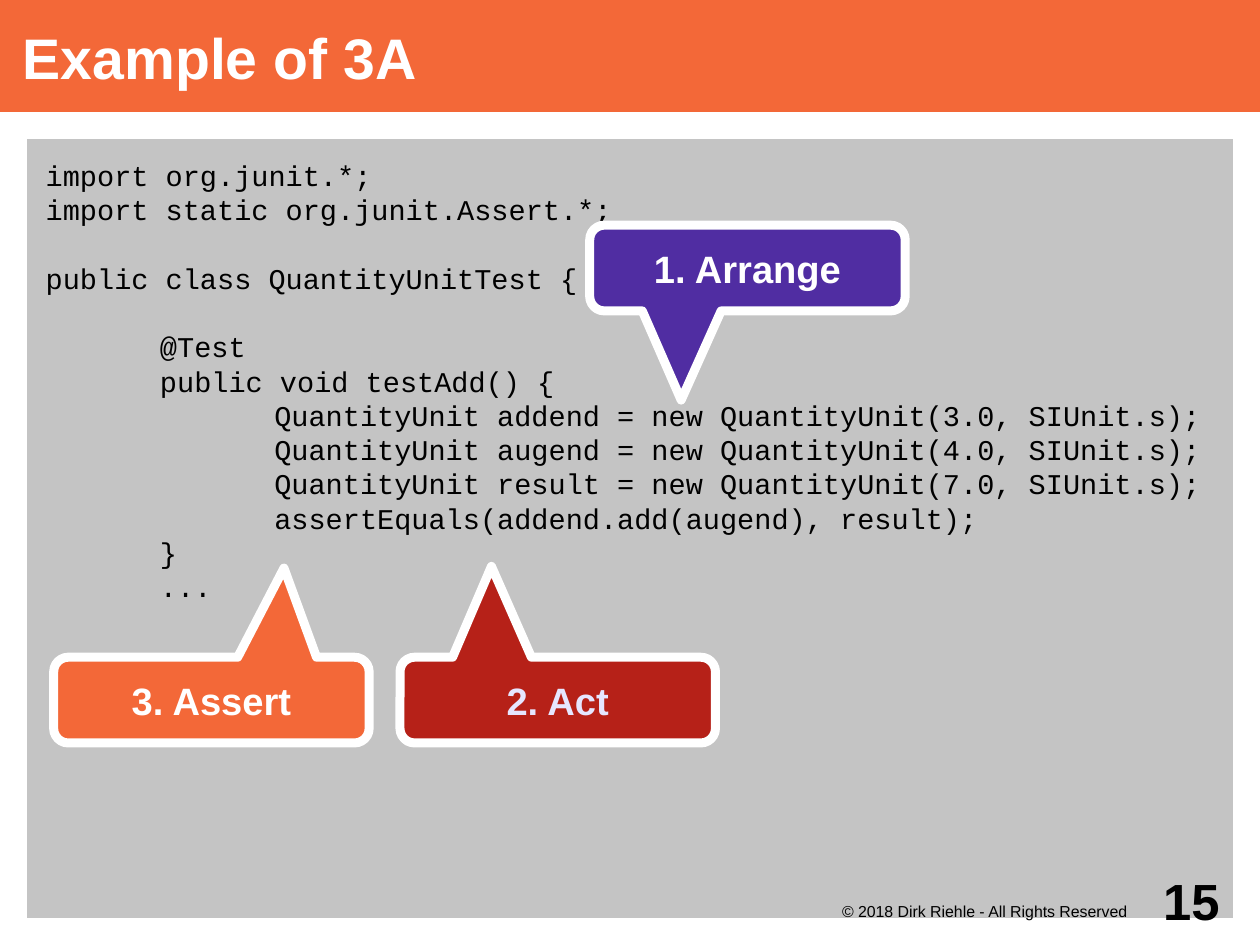
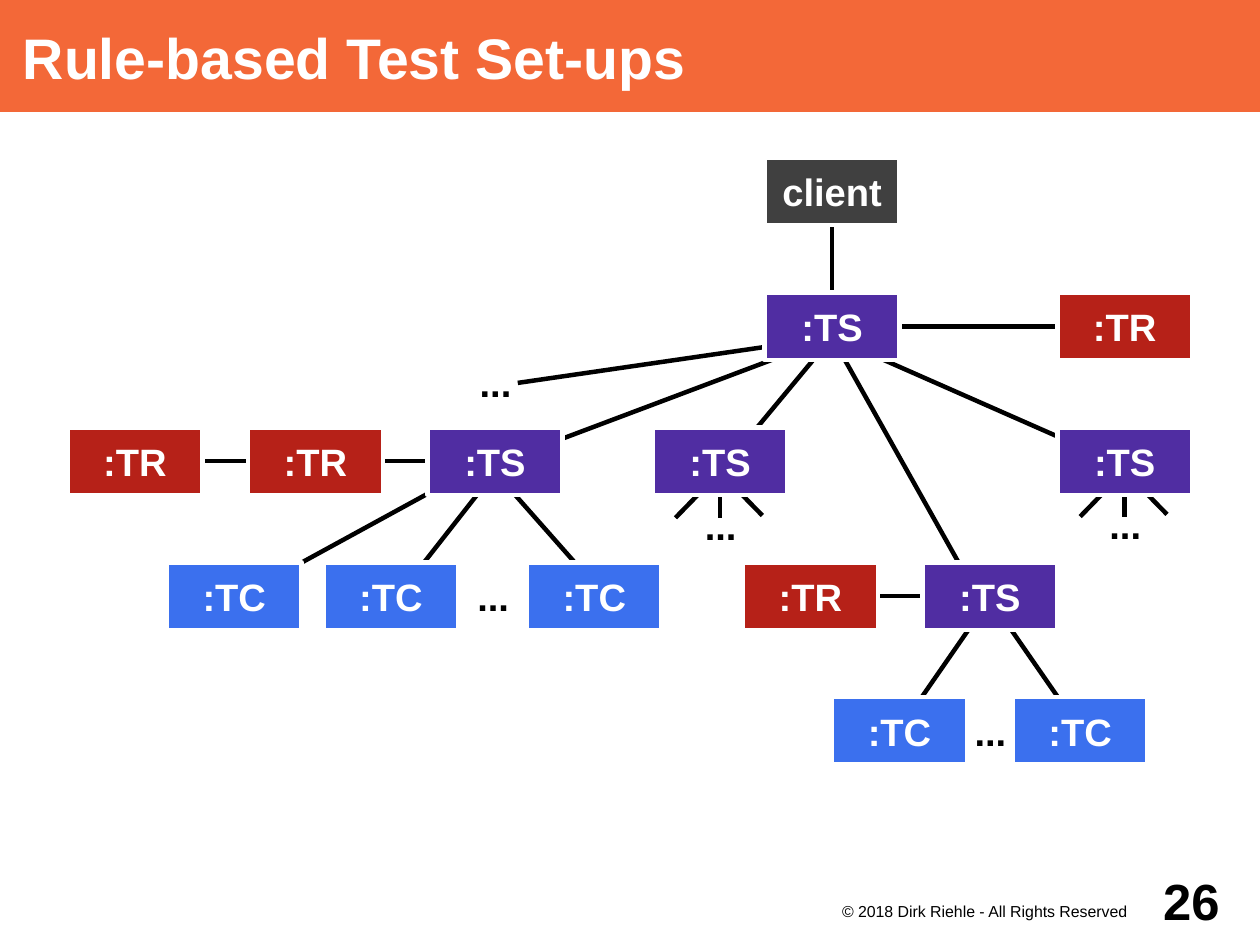
from lxml import etree
from pptx import Presentation
from pptx.dml.color import RGBColor
from pptx.enum.shapes import MSO_CONNECTOR, MSO_SHAPE
from pptx.enum.text import MSO_ANCHOR, MSO_AUTO_SIZE, PP_ALIGN
from pptx.oxml.ns import qn
from pptx.util import Inches, Pt

RECT = MSO_SHAPE.RECTANGLE
BUBBLE = MSO_SHAPE.ROUNDED_RECTANGULAR_CALLOUT
STRAIGHT = MSO_CONNECTOR.STRAIGHT
TOP, MIDDLE = MSO_ANCHOR.TOP, MSO_ANCHOR.MIDDLE
LEFT, CENTER, RIGHT = PP_ALIGN.LEFT, PP_ALIGN.CENTER, PP_ALIGN.RIGHT

ORANGE = RGBColor(0xF3, 0x68, 0x38)
PURPLE = RGBColor(0x50, 0x2D, 0xA2)
RED = RGBColor(0xB6, 0x21, 0x18)
BLUE = RGBColor(0x3B, 0x70, 0xEE)
DARK = RGBColor(0x40, 0x40, 0x40)
GRAY = RGBColor(0xC4, 0xC4, 0xC4)
LILAC = RGBColor(0xE6, 0xE6, 0xFF)
WHITE = RGBColor(0xFF, 0xFF, 0xFF)
BLACK = RGBColor(0, 0, 0)
SANS, MONO = "Arial", "Courier New"

WIDTH, HEIGHT = 28 / 2.54, 21 / 2.54
CREDIT = "© 2018 Dirk Riehle - All Rights Reserved"
PITCH = 21.6

CODE = [
    (0, 0, "import org.junit.*;"),
    (0, 0, "import static org.junit.Assert.*;"),
    (0, 1, "public class QuantityUnitTest {"),
    (1, 1, "@Test"),
    (1, 0, "public void testAdd() {"),
    (2, 0, "QuantityUnit addend = new QuantityUnit(3.0, SIUnit.s);"),
    (2, 0, "QuantityUnit augend = new QuantityUnit(4.0, SIUnit.s);"),
    (2, 0, "QuantityUnit result = new QuantityUnit(7.0, SIUnit.s);"),
    (2, 0, "assertEquals(addend.add(augend), result);"),
    (1, 0, "}"),
    (1, 0, "..."),
]
STEPS = [
    ("1. Arrange", 5.16, 1.97, (-0.21, 1.54), PURPLE, WHITE),
    ("2. Act", 3.5, 5.75, (-0.21, -1.56), RED, LILAC),
    ("3. Assert", 0.47, 5.75, (0.23, -1.54), ORANGE, WHITE),
]

BOX_W, BOX_H, ROW_TOP, ROW_STEP = 1.18, 0.59, 1.38, 1.18
FILLS = {"client": DARK, ":TS": PURPLE, ":TR": RED, ":TC": BLUE}
NODES = {
    "client": ("client", 6.69, 0),
    "root": (":TS", 6.69, 1),
    "root run": (":TR", 9.25, 1),
    "far run": (":TR", 0.59, 2),
    "near run": (":TR", 2.17, 2),
    "left": (":TS", 3.74, 2),
    "mid": (":TS", 5.71, 2),
    "right": (":TS", 9.25, 2),
    "left a": (":TC", 1.46, 3),
    "left b": (":TC", 2.83, 3),
    "left c": (":TC", 4.61, 3),
    "low run": (":TR", 6.5, 3),
    "low": (":TS", 8.07, 3),
    "low a": (":TC", 7.28, 4),
    "low b": (":TC", 8.86, 4),
}
LINKS = [
    ("client", 2, "root", 0),
    ("root", 3, "root run", 1),
    ("far run", 3, "near run", 1),
    ("near run", 3, "left", 1),
    ("low run", 3, "low", 1),
]
FANS = [
    ((7.28, 2.95), [(4.33, 4.06), (6.3, 4.13), (8.56, 5.23), (9.8, 4.06), (4.53, 3.35)]),
    ((4.33, 4.13), [(3.46, 5.24), (5.24, 5.16)]),
    ((4.29, 4.02), [(2.13, 5.2)]),
    ((8.66, 5.24), [(7.87, 6.38), (9.45, 6.38)]),
]
STUBS = [(6.3, 4.13), (9.84, 4.12)]
DOTS = [
    (3.94, 2.95, 0.79, 0.79),
    (4.02, 4.92, 0.59, 0.59),
    (8.27, 6.1, 0.79, 0.59),
]


def setup(frame, inset, anchor, wrap=True):
    frame.auto_size = MSO_AUTO_SIZE.NONE
    frame.word_wrap = wrap
    frame.vertical_anchor = anchor
    (frame.margin_left, frame.margin_top,
     frame.margin_right, frame.margin_bottom) = [Inches(v) for v in inset]


def write(para, text, size, color, bold=True, font=SANS, align=CENTER):
    para.alignment = align
    run = para.add_run()
    run.text = text
    run.font.size = Pt(size)
    run.font.name = font
    run.font.bold = bold
    run.font.color.rgb = color


def panel(slide, kind, area, fill, weight):
    shape = slide.shapes.add_shape(kind, *[Inches(v) for v in area])
    shape.shadow.inherit = False
    shape.fill.solid()
    shape.fill.fore_color.rgb = fill
    shape.line.color.rgb = WHITE
    shape.line.width = Pt(weight)
    return shape


def label(slide, area, text, size, inset, anchor=MIDDLE, bold=True, align=CENTER):
    box = slide.shapes.add_textbox(*[Inches(v) for v in area])
    setup(box.text_frame, inset, anchor)
    write(box.text_frame.paragraphs[0], text, size, BLACK, bold, align=align)


def wire(slide, start=(0, 0), end=(0, 0)):
    line = slide.shapes.add_connector(STRAIGHT, *[Inches(v) for v in (*start, *end)])
    line.line.color.rgb = BLACK
    line.line.width = Pt(2.83)
    etree.SubElement(line.element.spPr, qn("a:effectLst"))
    line.element.getparent().insert(2, line.element)
    return line


def start_slide(deck, text):
    slide = deck.slides.add_slide(deck.slide_layouts[5])
    title = slide.shapes.title
    title.left, title.top = Inches(0), Inches(0)
    title.width, title.height = Inches(WIDTH), Inches(0.98)
    title.fill.solid()
    title.fill.fore_color.rgb = ORANGE
    setup(title.text_frame, (0.2, 0.01, 0, 0), MIDDLE)
    write(title.text_frame.paragraphs[0], text, 36, WHITE, align=LEFT)
    return slide


def add_footer(slide, number):
    label(slide, (7.09, 7.87, 3.15, 0.39), CREDIT, 10,
          (0, 0.02, 0.38, 0), TOP, False, RIGHT)
    label(slide, (10.04, 7.48, 0.98, 0.79), str(number), 32,
          (0, 0, 0.35, 0), align=RIGHT)


def draw_code(slide):
    board = panel(slide, RECT, (0.2, 1.18, 10.63, 6.89), GRAY, 5.67)
    frame = board.text_frame
    setup(frame, (0.2, 0.2, 0.04, 0.04), TOP)
    for i, (level, gap, text) in enumerate(CODE):
        para = frame.add_paragraph() if i else frame.paragraphs[0]
        para.line_spacing = Pt(PITCH)
        para.space_before = Pt(gap * PITCH)
        para._p.get_or_add_pPr().set("marL", str(Inches(level)))
        write(para, text, 18, BLACK, False, MONO, LEFT)
    for text, x, y, tip, fill, color in STEPS:
        note = panel(slide, BUBBLE, (x, y, 2.76, 0.75), fill, 5.67)
        for i, value in enumerate((*tip, 0.17)):
            note.adjustments[i] = value
        setup(note.text_frame, (0.1,) * 4, MIDDLE, False)
        write(note.text_frame.paragraphs[0], text, 24, color)


def draw_tree(slide):
    boxes = {}
    for name, (text, x, row) in NODES.items():
        area = (x, ROW_TOP + row * ROW_STEP, BOX_W, BOX_H)
        box = boxes[name] = panel(slide, RECT, area, FILLS[text], 2.83)
        setup(box.text_frame, (0.1, 0.05, 0.1, 0.05), MIDDLE)
        write(box.text_frame.paragraphs[0], text, 24, WHITE)
    for first, out, last, into in LINKS:
        line = wire(slide)
        line.begin_connect(boxes[first], out)
        line.end_connect(boxes[last], into)
    for hub, ends in FANS:
        for end in ends:
            wire(slide, end, hub)
    for x, y in STUBS:
        wire(slide, (x, y), (x - 0.39, y + 0.4))
        wire(slide, (x, y + 0.4), (x, y))
        wire(slide, (x + 0.37, y + 0.38), (x - 0.13, y - 0.13))
        label(slide, (x - 0.39, y + 0.13, 0.79, 0.67), "...", 24,
              (0.09, 0.04, 0.09, 0.04))
    for area in DOTS:
        label(slide, area, "...", 24, (0.08,) * 4)


PAGES = [
    ("Example of 3A", 15, draw_code),
    ("Rule-based Test Set-ups", 26, draw_tree),
]


def main():
    deck = Presentation()
    deck.slide_width, deck.slide_height = Inches(WIDTH), Inches(HEIGHT)
    for text, number, draw in PAGES:
        slide = start_slide(deck, text)
        draw(slide)
        add_footer(slide, number)
    deck.save("out.pptx")


if __name__ == "__main__":
    main()
